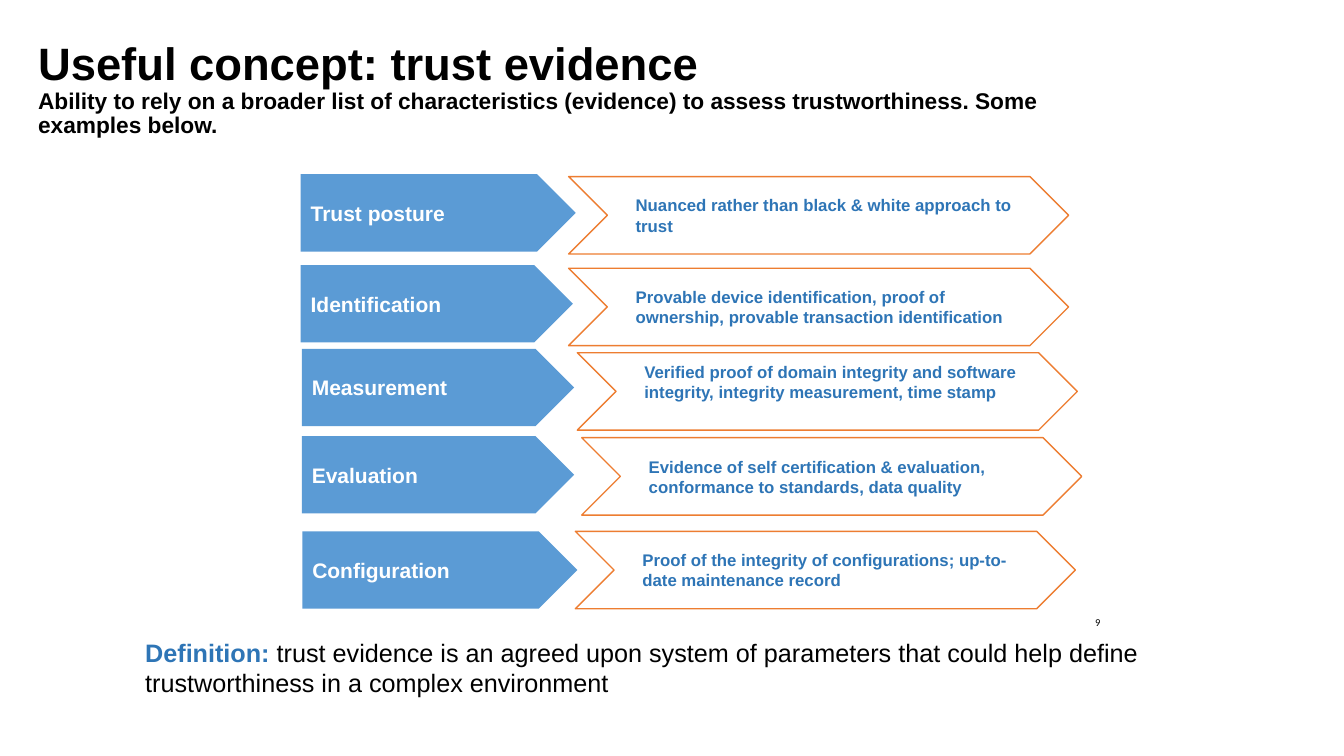
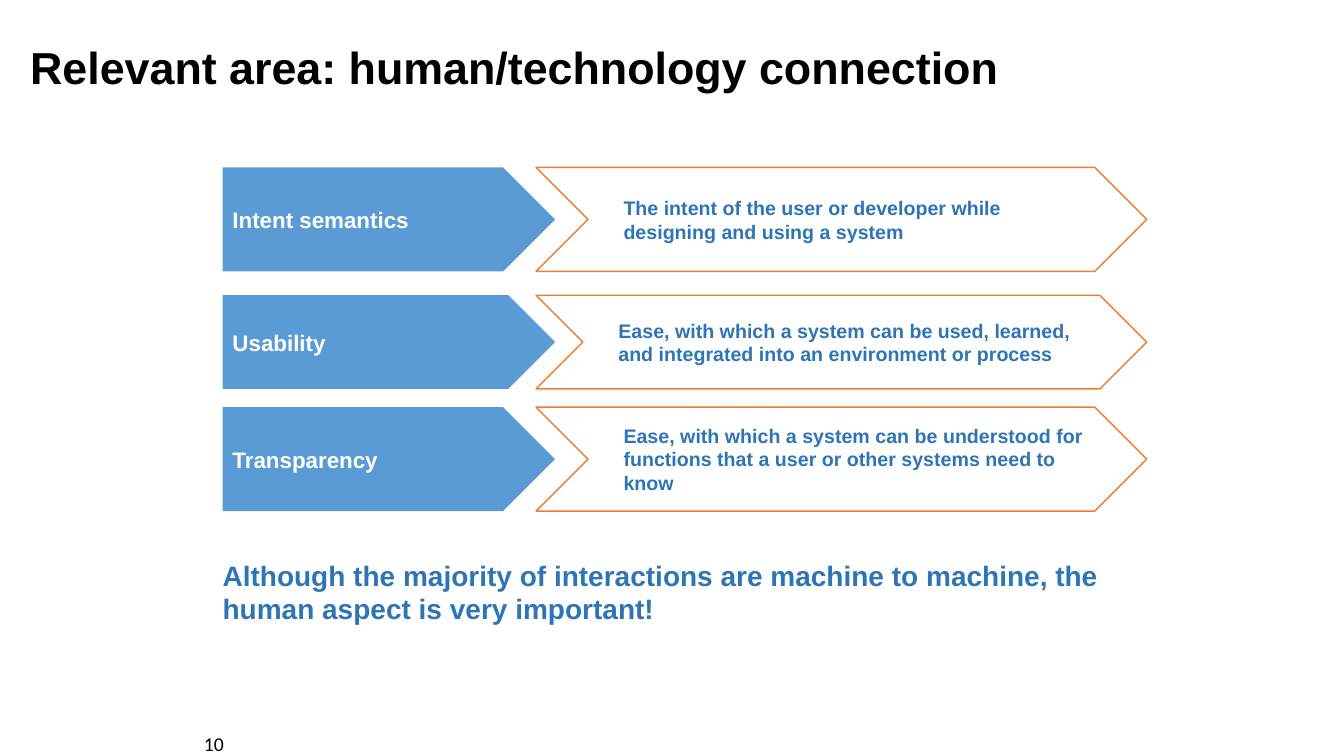
from dataclasses import dataclass

from pptx import Presentation
from pptx.dml.color import RGBColor
from pptx.enum.shapes import MSO_SHAPE as Shape
from pptx.enum.text import MSO_ANCHOR as Anchor, PP_ALIGN as Align
from pptx.util import Cm, Pt


# Theme
@dataclass(frozen=True)
class Theme:
    black: RGBColor = RGBColor.from_string("000000")
    white: RGBColor = RGBColor.from_string("FFFFFF")
    label_fill: RGBColor = RGBColor.from_string("5B9BD5")
    accent: RGBColor = RGBColor.from_string("2E75B6")
    outline: RGBColor = RGBColor.from_string("ED7D31")
    font: str = "Arial"
    number_font: str = "Calibri"
    title_spacing: float = 0.9
    outline_width: float = 1


THEME = Theme()

# Content: lengths in cm, text sizes in points, boxes as left, top, width, height
# Rows: label, description, label (left, top, width), chevron (left, top), height, text lift
SLIDES = [
    {
        "title": [("Useful concept: trust evidence", 32.4),
                  ("Ability to rely on a broader list of characteristics (evidence) "
                   "to assess trustworthiness. Some examples below.", 16.2)],
        "title_box": (0.71, 0.79, 27.64, 2.95),
        "label_size": 15, "description_size": 12,
        "chevron_width": 12.6, "indent": 0.46,
        "rows": [
            ("Trust posture", "Nuanced rather than black & white approach to trust",
             (7.58, 4.39, 6.93), (14.33, 4.45), 1.95, 0),
            ("Identification", "Provable device identification, proof of ownership, "
             "provable transaction identification",
             (7.58, 6.68, 6.86), (14.33, 6.76), 1.95, 0),
            ("Measurement", "Verified proof of domain integrity and software integrity, "
             "integrity measurement, time stamp",
             (7.61, 8.79, 6.86), (14.55, 8.89), 1.95, 0.5),
            ("Evaluation", "Evidence of self certification & evaluation, "
             "conformance to standards, data quality",
             (7.61, 10.99, 6.86), (14.66, 11.03), 1.95, 0),
            ("Configuration", "Proof of the integrity of configurations; "
             "up-to-date maintenance record",
             (7.62, 13.39, 6.93), (14.5, 13.39), 1.95, 0),
        ],
        "closing": [("Definition: ", THEME.accent, True),
                    ("trust evidence is an agreed upon system of parameters that could "
                     "help define trustworthiness in a complex environment",
                     THEME.black, False)],
        "closing_box": (3.66, 16.05, 25.81, 1.96), "closing_size": 18,
        "number": "9", "number_box": (26.59, 15.34, 1.14, 0.69), "number_size": 7.5,
    },
    {
        "title": [("Relevant area: human/technology connection", 32)],
        "title_box": (0.51, 0.64, 32.51, 2.26),
        "label_size": 16, "description_size": 14,
        "chevron_width": 15.39, "indent": 0.64,
        "rows": [
            ("Intent semantics", "The intent of the user or developer while designing "
             "and using a system",
             (5.61, 4.22, 8.38), (13.51, 4.22), 2.62, 0),
            ("Usability", "Ease, with which a system can be used, learned, "
             "and integrated into an environment or process",
             (5.61, 7.44, 8.38), (13.51, 7.44), 2.36, 0),
            ("Transparency", "Ease, with which a system can be understood for functions "
             "that a user or other systems need to know",
             (5.61, 10.26, 8.38), (13.51, 10.26), 2.62, 0),
        ],
        "closing": [("Although the majority of interactions are machine to machine, "
                     "the human aspect is very important!", THEME.accent, True)],
        "closing_box": (5.61, 14.07, 23.29, 1.7), "closing_size": 20,
        "number": "10", "number_box": (4.24, 18.41, 1.4, 0.64), "number_size": 14,
    },
]


# Building blocks
def style(span, size, color, bold=True, name=THEME.font):
    font = span.font
    font.name, font.size, font.bold = name, Pt(size), bold
    font.color.rgb = color


def add_text_box(page, box, anchor, inset=True):
    frame = page.shapes.add_textbox(*map(Cm, box)).text_frame
    frame.word_wrap = True
    frame.vertical_anchor = anchor
    if not inset:
        frame.margin_left = frame.margin_right = 0
        frame.margin_top = frame.margin_bottom = 0
    return frame


def add_arrow(page, kind, box, text, size, fill, color):
    arrow = page.shapes.add_shape(kind, *map(Cm, box))
    arrow.shadow.inherit = False
    arrow.fill.solid()
    arrow.fill.fore_color.rgb = fill
    arrow.line.fill.background()
    frame = arrow.text_frame
    frame.word_wrap = True
    frame.vertical_anchor = Anchor.MIDDLE
    frame.text = text
    para = frame.paragraphs[0]
    para.alignment = Align.LEFT
    style(para.runs[0], size, color)
    return arrow


def add_title(page, content):
    frame = add_text_box(page, content["title_box"], Anchor.MIDDLE)
    frame.text = "\n".join(text for text, _ in content["title"])
    for para, (_, size) in zip(frame.paragraphs, content["title"]):
        para.line_spacing = THEME.title_spacing
        style(para.runs[0], size, THEME.black)


def add_row(page, content, row):
    label, description, label_box, chevron_start, height, lift = row
    add_arrow(page, Shape.PENTAGON, (*label_box, height), label,
              content["label_size"], THEME.label_fill, THEME.white)
    chevron = add_arrow(page, Shape.CHEVRON,
                        (*chevron_start, content["chevron_width"], height), description,
                        content["description_size"], THEME.white, THEME.accent)
    chevron.line.color.rgb = THEME.outline
    chevron.line.width = Pt(THEME.outline_width)
    frame = chevron.text_frame
    frame.margin_left += Cm(content["indent"])
    frame.margin_bottom += Cm(lift)


def add_closing(page, content):
    frame = add_text_box(page, content["closing_box"], Anchor.TOP, inset=False)
    for text, color, bold in content["closing"]:
        span = frame.paragraphs[0].add_run()
        span.text = text
        style(span, content["closing_size"], color, bold)


def add_number(page, content):
    frame = add_text_box(page, content["number_box"], Anchor.MIDDLE, inset=False)
    frame.text = content["number"]
    para = frame.paragraphs[0]
    para.alignment = Align.RIGHT
    style(para.runs[0], content["number_size"], THEME.black, False, THEME.number_font)


# Deck
def main():
    deck = Presentation()
    deck.slide_width, deck.slide_height = Cm(33.87), Cm(19.05)
    blank = deck.slide_layouts[6]
    for content in SLIDES:
        page = deck.slides.add_slide(blank)
        add_title(page, content)
        for row in content["rows"]:
            add_row(page, content, row)
        add_closing(page, content)
        add_number(page, content)
    deck.save("out.pptx")


if __name__ == "__main__":
    main()
